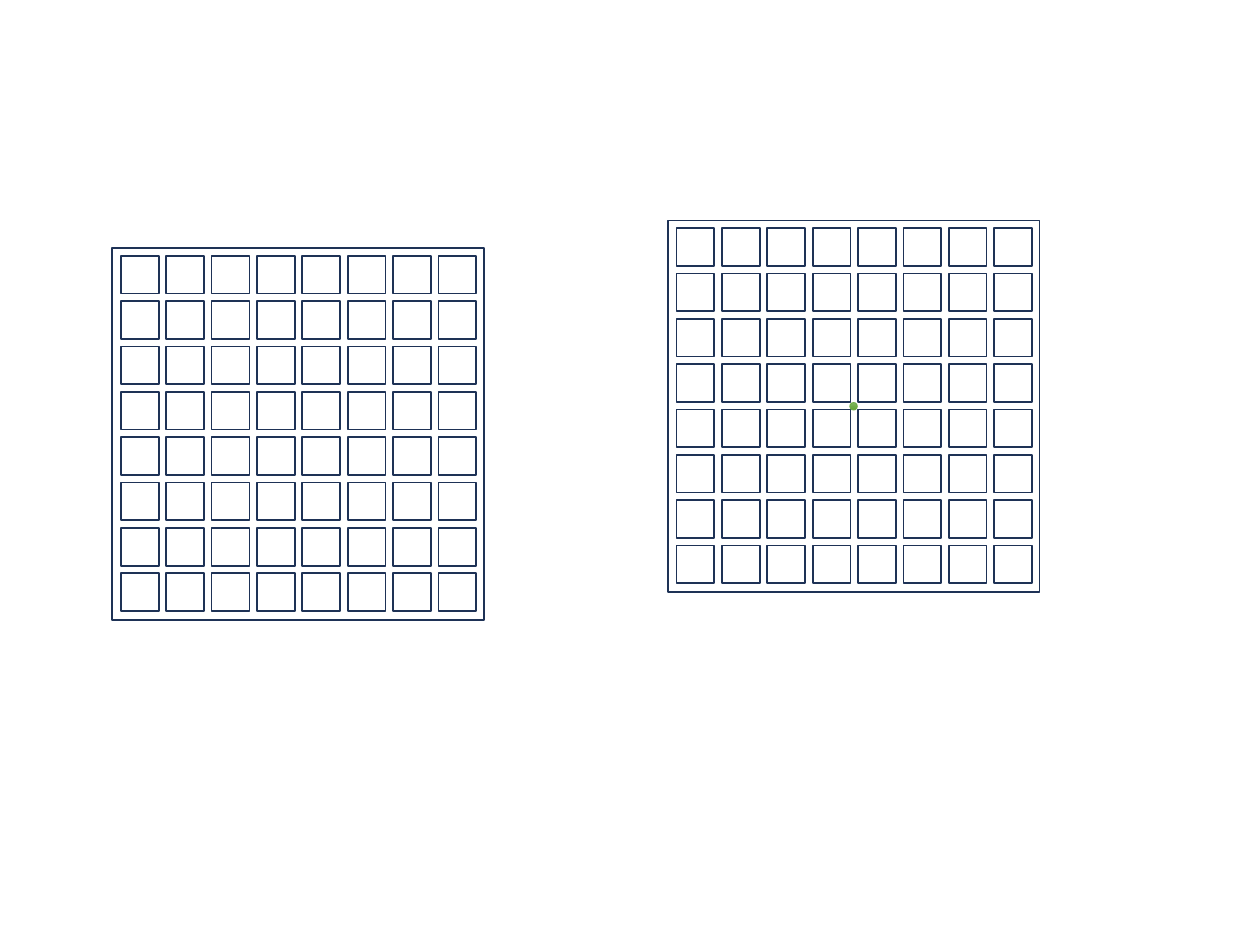
from dataclasses import dataclass
from itertools import product

from pptx import Presentation
from pptx.dml.color import RGBColor
from pptx.enum.shapes import MSO_SHAPE as Preset
from pptx.shapes.autoshape import Shape
from pptx.shapes.group import GroupShape
from pptx.slide import Slide
from pptx.util import Inches, Pt

WHITE, NAVY, GREEN = "FFFFFF", "1E3256", "70AD47"
DOT_TOP, DOT_BOTTOM = "81B861", "62A336"
CELLS, CELL_SIZE, PITCH = 8, 0.3, 0.36
BOARD_SIZE, MARGIN_X, MARGIN_Y = 2.95, 0.07, 0.06
DOT_SIZE = 0.06


@dataclass(frozen=True)
class Board:
    """Place of one board of square cells, in inches."""

    left: float
    top: float
    has_dot: bool = False


BOARDS = (Board(0.89, 1.97), Board(5.3, 1.75, has_dot=True))


def color(code: str) -> RGBColor:
    """Turn a hex string into a colour."""
    return RGBColor.from_string(code)


def add_outlined(group: GroupShape, preset: Preset, left: float, top: float,
                 size: float, line: str, width: float) -> Shape:
    """Add a white shape of equal sides with a coloured outline."""
    shape = group.shapes.add_shape(
        preset, Inches(left), Inches(top), Inches(size), Inches(size))
    shape.shadow.inherit = False
    shape.fill.solid()
    shape.fill.fore_color.rgb = color(WHITE)
    shape.line.color.rgb = color(line)
    shape.line.width = Pt(width)
    return shape


def add_dot(group: GroupShape, board: Board) -> None:
    """Mark the centre of a board with a shaded green dot."""
    offset = (BOARD_SIZE - DOT_SIZE) / 2
    dot = add_outlined(group, Preset.OVAL, board.left + offset,
                       board.top + offset, DOT_SIZE, GREEN, 0.5)
    dot.fill.gradient()
    dot.fill.gradient_angle = 270
    for stop, shade in zip(dot.fill.gradient_stops, (DOT_TOP, DOT_BOTTOM)):
        stop.color.rgb = color(shade)


def add_board(page: Slide, board: Board) -> None:
    """Draw a frame, its grid of cells and the optional dot as one group."""
    group = page.shapes.add_group_shape()
    add_outlined(group, Preset.RECTANGLE, board.left, board.top,
                 BOARD_SIZE, NAVY, 1)
    for row, column in product(range(CELLS), repeat=2):
        add_outlined(group, Preset.RECTANGLE,
                     board.left + MARGIN_X + column * PITCH,
                     board.top + MARGIN_Y + row * PITCH, CELL_SIZE, NAVY, 1)
    if board.has_dot:
        add_dot(group, board)


def main() -> None:
    """Build the slide with both boards and save it."""
    deck = Presentation()
    deck.slide_width, deck.slide_height = Inches(10), Inches(7.5)
    page = deck.slides.add_slide(deck.slide_layouts[6])
    for board in BOARDS:
        add_board(page, board)
    deck.save("out.pptx")


if __name__ == "__main__":
    main()
